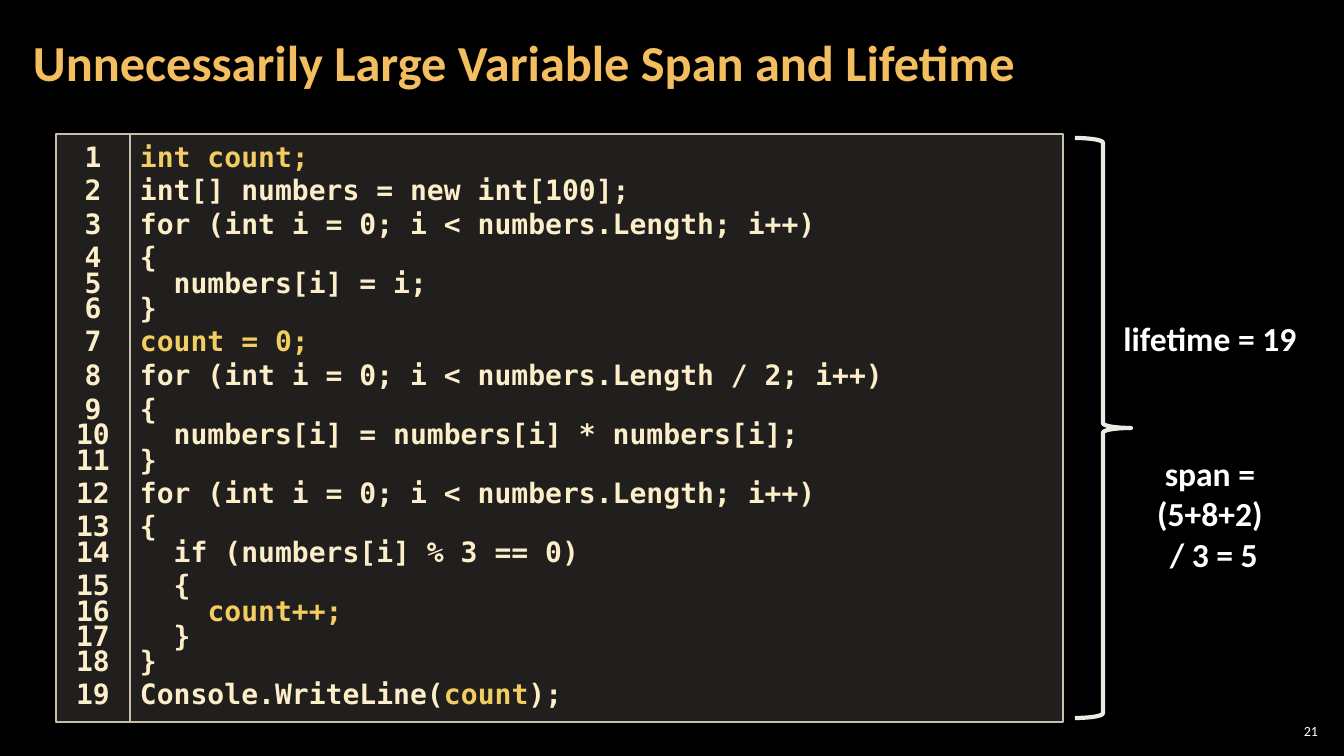
"""Build a slide on the span and lifetime of a variable in a code listing."""
from lxml import etree
from pptx import Presentation
from pptx.dml.color import RGBColor
from pptx.enum.shapes import MSO_SHAPE as Shape
from pptx.enum.text import MSO_ANCHOR as Anchor, PP_ALIGN as Align
from pptx.oxml.ns import qn
from pptx.util import Emu, Pt

COLORS = {
    "background": "000000", "title": "F3BE60", "code": "FBEEC9", "accent": "F3CD60",
    "panel": "D9D5C7", "border": "C7BFAC", "brace": "ECEAE3", "note": "FFFFFF",
}
SANS, MONO = "Calibri", "DejaVu Sans Mono"
TITLE = "Unnecessarily Large Variable Span and Lifetime"
MARK = "|"
CODE = [
    "|int count;|",
    "int[] numbers = new int[100];",
    "for (int i = 0; i < numbers.Length; i++)",
    "{",
    "  numbers[i] = i;",
    "}",
    "|count = 0;|",
    "for (int i = 0; i < numbers.Length / 2; i++)",
    "{",
    "  numbers[i] = numbers[i] * numbers[i];",
    "}",
    "for (int i = 0; i < numbers.Length; i++)",
    "{",
    "  if (numbers[i] % 3 == 0)",
    "  {",
    "    |count++;|",
    "  }",
    "}",
    "Console.WriteLine(|count|);",
]
TIGHT_LINES = {5, 6, 10, 11, 14, 16, 17, 18}
LIFETIME = ["lifetime = 19"]
SPAN = ["span =", "(5+8+2)", " / 3 = 5"]
PAGE_NUMBER = "21"

PANEL_TOP, PANEL_HEIGHT = 134, 588
NUMBERS_LEFT, NUMBERS_WIDTH, CODE_WIDTH = 56, 74, 933
NOTE_LEFT, NOTE_WIDTH = 1109, 202


def px(length):
    return Emu(round(length * 12192000 / 1344))


def color(name):
    return RGBColor.from_string(COLORS[name])


def write(box, lines, size, face, tone, bold=True, align=Align.LEFT,
          anchor=Anchor.TOP, inset=(10, 5), spacing=None):
    frame = box.text_frame
    frame.word_wrap = True
    frame.vertical_anchor = anchor
    frame.margin_left = frame.margin_right = px(inset[0])
    frame.margin_top = frame.margin_bottom = px(inset[1])
    for index, line in enumerate(lines):
        para = frame.add_paragraph() if index else frame.paragraphs[0]
        para.alignment = align
        if spacing and spacing[index] != 1:
            para.line_spacing = spacing[index]
        para.font.size, para.font.name, para.font.bold = Pt(size), face, bold
        para.font.color.rgb = color(tone)
        for part, text in enumerate(line.split(MARK)):
            if text:
                span = para.add_run()
                span.text = text
                span.font.color.rgb = color("accent" if part % 2 else tone)


def add_text(page, place, lines, **style):
    box = page.shapes.add_textbox(*map(px, place))
    write(box, lines, **style)


def add_panel(page, left, width, lines, align):
    panel = page.shapes.add_shape(
        Shape.RECTANGLE, *map(px, (left, PANEL_TOP, width, PANEL_HEIGHT)))
    panel.shadow.inherit = False
    panel.fill.solid()
    panel.fill.fore_color.rgb = color("panel")
    tint = panel.fill._xPr.find(qn("a:solidFill"))[0]
    etree.SubElement(tint, qn("a:alpha")).set("val", "15000")
    panel.line.color.rgb = color("border")
    panel.line.width = Pt(1)
    spacing = [0.75 if number in TIGHT_LINES else 1 for number in range(1, len(CODE) + 1)]
    write(panel, lines, 20, MONO, "code", align=align, spacing=spacing)


def add_brace(page):
    brace = page.shapes.add_shape(Shape.RIGHT_BRACE, *map(px, (1075, 138, 56, 580)))
    brace.shadow.inherit = False
    brace.fill.background()
    brace.line.color.rgb = color("brace")
    brace.line.width = Pt(3)


def main():
    deck = Presentation()
    deck.slide_width, deck.slide_height = px(1344), px(756)
    page = deck.slides.add_slide(deck.slide_layouts[6])
    page.background.fill.solid()
    page.background.fill.fore_color.rgb = color("background")

    add_panel(page, NUMBERS_LEFT + NUMBERS_WIDTH, CODE_WIDTH, CODE, Align.LEFT)
    add_text(page, (1275, 720, 47, 21), [PAGE_NUMBER], size=10, face=SANS, tone="note",
             bold=False, align=Align.RIGHT, anchor=Anchor.MIDDLE, inset=(4, 4))
    add_text(page, (21, 4, 1055, 122), [TITLE], size=36, face=SANS, tone="title",
             anchor=Anchor.MIDDLE, inset=(12, 4), spacing=[0.9])
    add_brace(page)
    for top, height, lines in ((448, 137, SPAN), (313, 50, LIFETIME)):
        add_text(page, (NOTE_LEFT, top, NOTE_WIDTH, height), lines, size=24, face=SANS,
                 tone="note", align=Align.CENTER)
    numbers = [str(number) for number in range(1, len(CODE) + 1)]
    add_panel(page, NUMBERS_LEFT, NUMBERS_WIDTH, numbers, Align.CENTER)
    deck.save("out.pptx")


if __name__ == "__main__":
    main()
